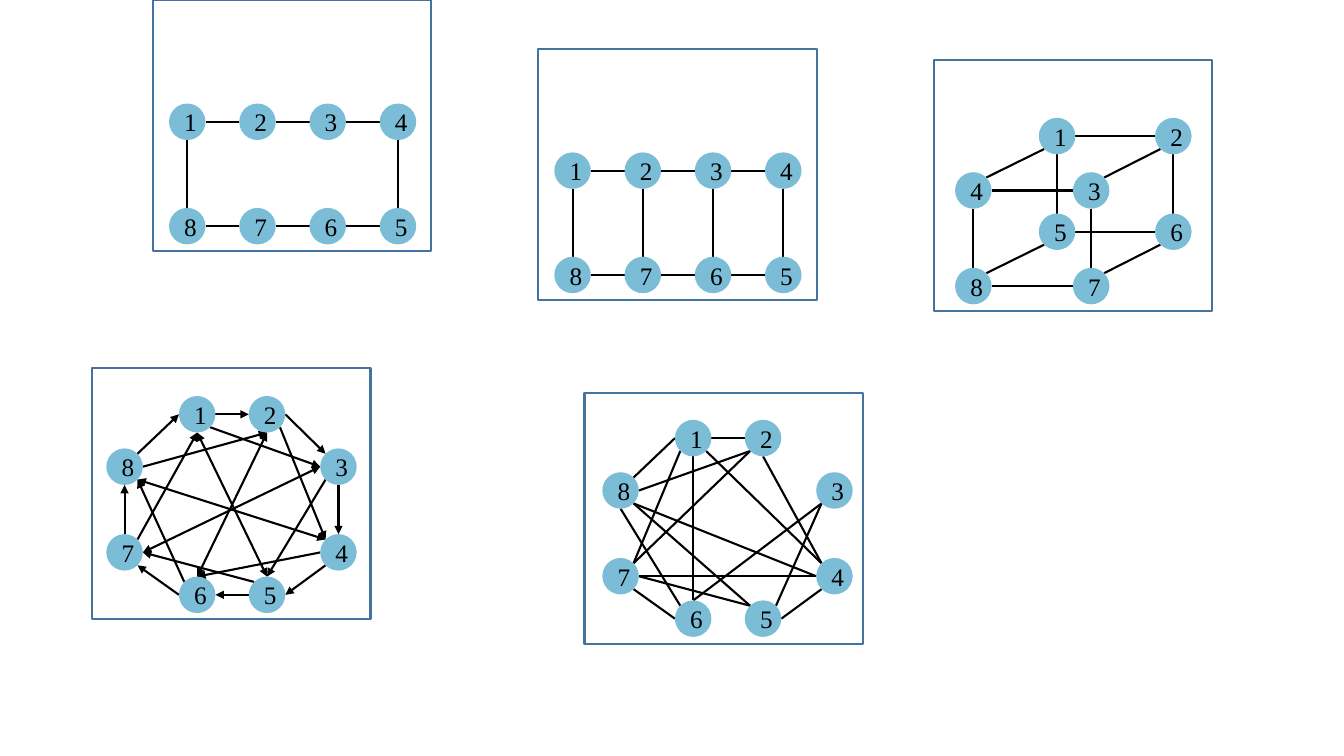
from dataclasses import dataclass
from math import cos, pi, sin

from lxml.etree import SubElement
from pptx import Presentation
from pptx.dml.color import RGBColor
from pptx.enum.shapes import MSO_CONNECTOR, MSO_SHAPE
from pptx.enum.text import MSO_ANCHOR, PP_ALIGN
from pptx.oxml.ns import qn
from pptx.shapes.autoshape import Shape
from pptx.shapes.shapetree import SlideShapes
from pptx.util import Cm, Pt

BLACK = RGBColor(0x00, 0x00, 0x00)
BLUE = RGBColor(0x43, 0x73, 0x9E)
SKY = RGBColor(0x7B, 0xBD, 0xD7)
FONT = "Times New Roman"

WIDTH, HEIGHT = 7.01, 6.33
RADIUS = 0.46
LINE = Pt(1.5)

Point = tuple[float, float]

SIDES: dict[str, Point] = {
    side: (RADIUS * cos(turn * pi / 4), RADIUS * sin(turn * pi / 4))
    for turn, side in enumerate("e se s sw w nw n ne".split())
}
MARKS = {"-": (), ">": ("a:tailEnd",), "=": ("a:headEnd", "a:tailEnd")}

GRID: list[Point] = [(0.86 + 1.77 * step, 3.07) for step in range(4)]
GRID += [(x, 5.7) for x, _ in reversed(GRID)]
CUBE: list[Point] = [
    (3.1, 1.91), (6.03, 1.91), (3.96, 3.28), (0.99, 3.28),
    (3.1, 4.32), (6.03, 4.32), (3.96, 5.69), (0.99, 5.69),
]
ROUND: list[Point] = [
    (2.64, 1.17), (4.4, 1.17), (6.2, 2.49), (6.2, 4.65),
    (4.4, 5.72), (2.64, 5.72), (0.81, 4.65), (0.81, 2.49),
]
RING = "8n-1s 1e-2w 2e-3w 3e-4w 8e-7w 7e-6w 6e-5w 5n-4s"


@dataclass(frozen=True)
class Graph:
    left: float
    top: float
    nodes: list[Point]
    edges: str
    shift: Point = (0, 0)

    def centre(self, number: int) -> Point:
        x, y = self.nodes[number - 1]
        return self.left + self.shift[0] + x, self.top + self.shift[1] + y

    def port(self, name: str) -> Point:
        x, y = self.centre(int(name[0]))
        dx, dy = SIDES[name[1:]]
        return x + dx, y + dy


GRAPHS = [
    Graph(3.86, 0, GRID, RING),
    Graph(13.57, 1.23, GRID, RING + " 7n-2s 6n-3s"),
    Graph(23.54, 1.52, CUBE,
          "4ne-1sw 4e-3w 1e-2w 3ne-2sw 8ne-5sw 8e-7w 5e-6w 7ne-6sw "
          "8n-4s 5n-1s 6n-2s 7n-3s"),
    Graph(2.33, 9.27, ROUND,
          "1e>2w 2e>3nw 3s>4n 4sw>5e 5w>6e 6w>7se 7n>8s 8ne>1w "
          "4nw=8se 5n=1s 6n=2s 7e=3w "
          "1se>3w 2se>4nw 3sw>5n 4w>6n 5nw>7e 6nw>8se 7ne>1s 8e>2s"),
    Graph(14.73, 9.91, ROUND,
          "1w-8ne 1e-2w 1se-4nw 1s-6n 1sw-7ne 2sw-7ne 2sw-8e 2s-4nw "
          "3sw-6n 3sw-5ne 4sw-5e 7e-4w 8se-4w 8se-5nw 7e-5nw 7se-6w 8s-6nw",
          (0.1, -0.04)),
]


def write(shape: Shape, text: str, *, size: int = 18, font: str = FONT,
          color: RGBColor = BLACK, align: PP_ALIGN = PP_ALIGN.CENTER) -> None:
    frame = shape.text_frame
    frame.vertical_anchor = MSO_ANCHOR.MIDDLE
    line = frame.paragraphs[0]
    line.alignment = align
    run = line.add_run()
    run.text = text
    run.font.size = Pt(size)
    run.font.name = font
    run.font.color.rgb = color


def draw_frame(shapes: SlideShapes, graph: Graph) -> None:
    box = shapes.add_shape(MSO_SHAPE.RECTANGLE, Cm(graph.left), Cm(graph.top),
                           Cm(WIDTH), Cm(HEIGHT))
    box.shadow.inherit = False
    box.fill.background()
    box.line.color.rgb = BLUE
    box.line.width = LINE


def draw_edge(shapes: SlideShapes, graph: Graph, edge: str) -> None:
    mark = next(char for char in edge if char in MARKS)
    start, end = (graph.port(name) for name in edge.split(mark))
    line = shapes.add_connector(MSO_CONNECTOR.STRAIGHT,
                                *(Cm(value) for value in (*start, *end)))
    line.line.color.rgb = BLACK
    line.line.width = LINE
    for tag in MARKS[mark]:
        SubElement(line.line._get_or_add_ln(), qn(tag), type="triangle")
    SubElement(line._element.spPr, qn("a:effectLst"))


def draw_node(shapes: SlideShapes, graph: Graph, number: int) -> None:
    x, y = graph.centre(number)
    node = shapes.add_shape(MSO_SHAPE.OVAL, Cm(x - RADIUS), Cm(y - RADIUS),
                            Cm(2 * RADIUS), Cm(2 * RADIUS))
    node.shadow.inherit = False
    node.fill.solid()
    node.fill.fore_color.rgb = SKY
    node.line.fill.background()
    write(node, str(number))


def draw_graph(shapes: SlideShapes, graph: Graph) -> None:
    draw_frame(shapes, graph)
    for edge in graph.edges.split():
        draw_edge(shapes, graph, edge)
    for number in range(1, len(graph.nodes) + 1):
        draw_node(shapes, graph, number)


def main() -> None:
    deck = Presentation()
    deck.slide_width, deck.slide_height = Cm(33.87), Cm(19.05)
    slide = deck.slides.add_slide(deck.slide_layouts[6])
    for graph in GRAPHS:
        draw_graph(slide.shapes, graph)
    deck.save("out.pptx")


if __name__ == "__main__":
    main()
